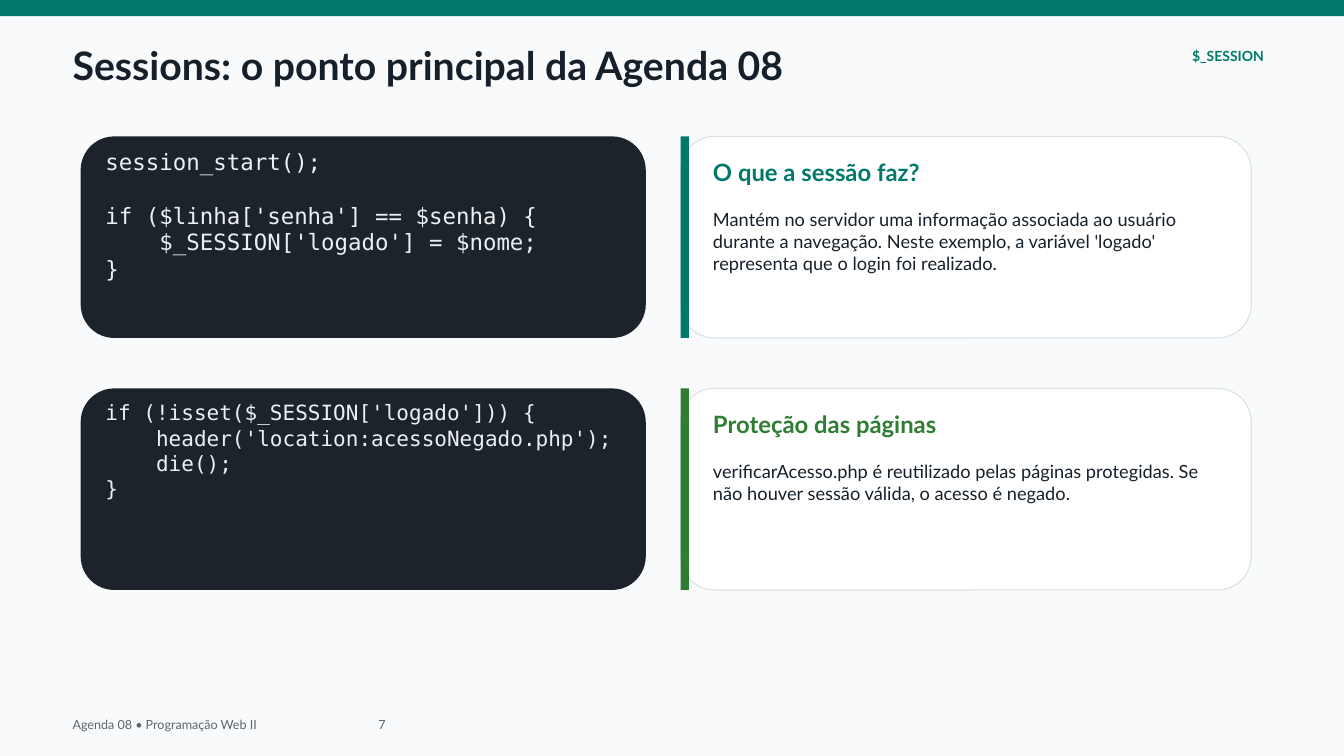
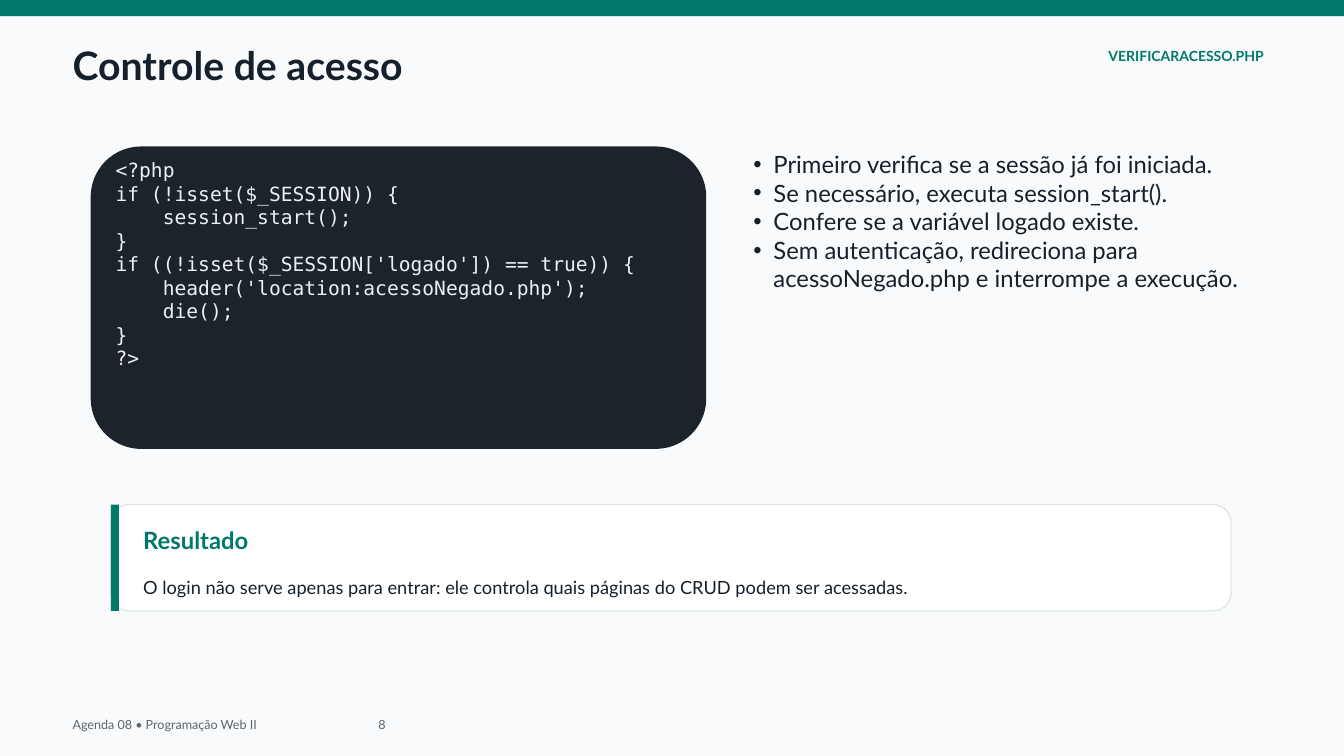
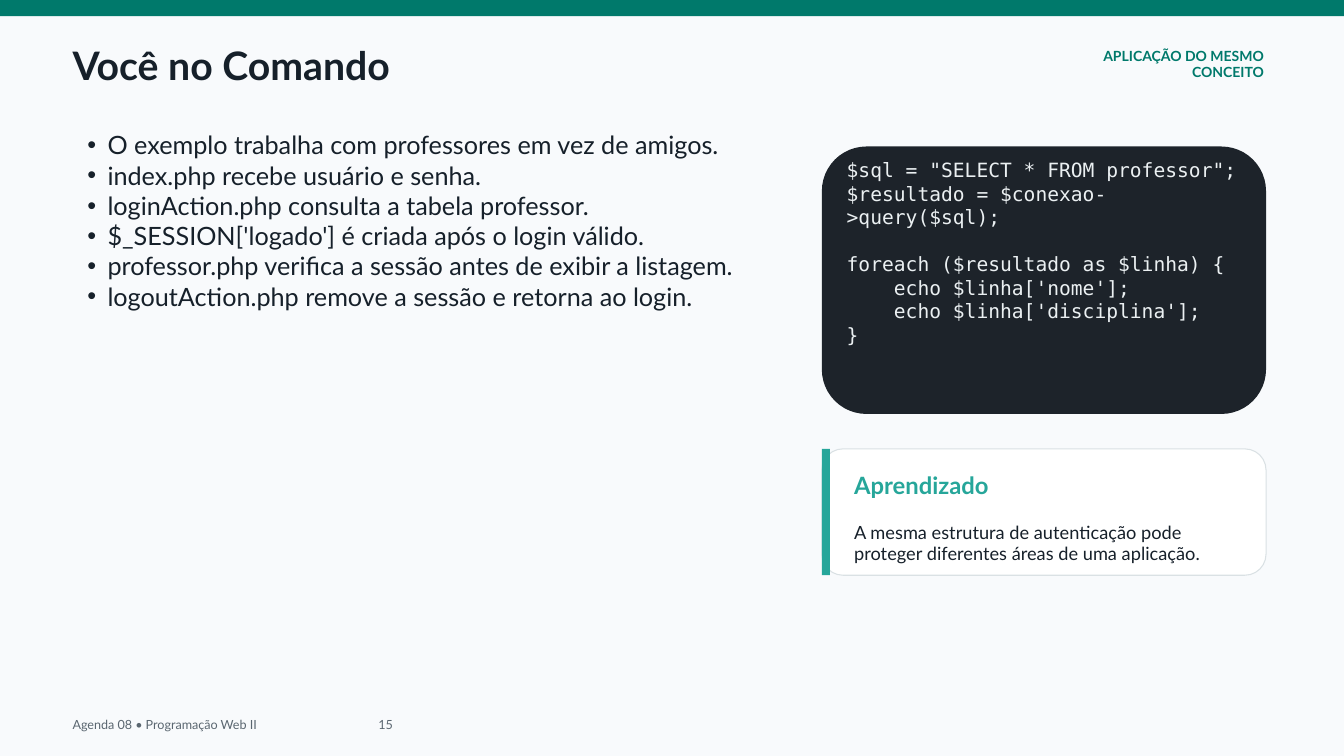
"""Build three lesson slides on PHP sessions and access control."""
import pptx
import pptx.dml.color
import pptx.enum.shapes
import pptx.enum.text
import pptx.oxml.ns
import pptx.util
from lxml import etree

RGBColor = pptx.dml.color.RGBColor
PAPER = RGBColor(0xF8, 0xFA, 0xFC)
WHITE = RGBColor(0xFF, 0xFF, 0xFF)
INK = RGBColor(0x16, 0x20, 0x2A)
TEAL = RGBColor(0x00, 0x79, 0x6B)
GREEN = RGBColor(0x2E, 0x7D, 0x32)
AQUA = RGBColor(0x26, 0xA6, 0x9A)
CODE_FILL = RGBColor(0x1D, 0x23, 0x2A)
CODE_INK = RGBColor(0xEB, 0xF0, 0xF2)
BORDER = RGBColor(0xDA, 0xE1, 0xE4)
GRAY = RGBColor(0x5A, 0x66, 0x70)

SANS, MONO = "Lato", "DejaVu Sans Mono"
COLUMNS, ROWS = 20, 11.25
LEADING = 1.2
HANG = pptx.util.Inches(0.3)
NUMBER_TAB = pptx.util.Inches(4.55)
TITLE_ONLY, TITLE_AND_BODY = 5, 1
LEFT = pptx.enum.text.PP_ALIGN.LEFT
RIGHT = pptx.enum.text.PP_ALIGN.RIGHT
RECTANGLE = pptx.enum.shapes.MSO_SHAPE.RECTANGLE
ROUNDED = pptx.enum.shapes.MSO_SHAPE.ROUNDED_RECTANGLE


def write(holder, text, size, color=INK, font=SANS, bold=False, align=LEFT,
          bullet=False, tab=None):
    """Fill a text holder, turning empty lines into space before the next."""
    frame = holder.text_frame
    frame.auto_size = pptx.enum.text.MSO_AUTO_SIZE.NONE
    frame.word_wrap = True
    frame.vertical_anchor = pptx.enum.text.MSO_ANCHOR.TOP
    frame.margin_left = frame.margin_right = 0
    frame.margin_top = frame.margin_bottom = 0
    leading = pptx.util.Pt(size * LEADING)
    paragraph, gap = frame.paragraphs[0], 0
    for index, line in enumerate(text.split("\n")):
        if not line:
            gap += leading
            continue
        if index:
            paragraph = frame.add_paragraph()
        paragraph.add_run().text = line
        properties = paragraph._p.get_or_add_pPr()
        if bullet:
            properties.set("marL", str(HANG))
            properties.set("indent", str(-HANG))
            mark = etree.SubElement(properties, pptx.oxml.ns.qn("a:buChar"))
            mark.set("char", "•")
        if tab:
            stops = etree.SubElement(properties, pptx.oxml.ns.qn("a:tabLst"))
            stop = etree.SubElement(stops, pptx.oxml.ns.qn("a:tab"))
            stop.set("pos", str(tab))
            stop.set("algn", "l")
        paragraph.alignment = align
        paragraph.line_spacing = leading
        paragraph.space_before, gap = pptx.util.Emu(gap), 0
        paragraph.font.size = pptx.util.Pt(size)
        for run in paragraph.runs:
            run.font.name = font
            run.font.size = pptx.util.Pt(size)
            run.font.bold = bold
            run.font.color.rgb = color


class Lesson:
    """Holds the deck style and the slide being built."""

    def __init__(self):
        self.deck = pptx.Presentation()
        self.deck.slide_width = pptx.util.Inches(COLUMNS)
        self.deck.slide_height = pptx.util.Inches(ROWS)
        self.slide = None

    def cells(self, left, top, width, height):
        """Turn grid columns and rows into lengths."""
        column = self.deck.slide_width / COLUMNS
        row = self.deck.slide_height / ROWS
        return [pptx.util.Emu(round(length)) for length in
                (left * column, top * row, width * column, height * row)]

    def start(self, title, tag, number, layout=TITLE_ONLY):
        """Open a slide with its band, title, tag and footer."""
        self.slide = self.deck.slides.add_slide(self.deck.slide_layouts[layout])
        self.slide.background.fill.solid()
        self.slide.background.fill.fore_color.rgb = PAPER
        self.block(RECTANGLE, (0, 0, COLUMNS, 0.24), TEAL)
        heading = self.slide.shapes.title
        self.move(heading, (1.08, 0.62, 17.51, 0.73))
        write(heading, title, size=42, bold=True)
        self.text((15.86, 0.7, 2.95, 0.43), tag, size=15, color=TEAL,
                  bold=True, align=RIGHT)
        self.text((1.08, 10.67, 17.81, 0.24),
                  f"Agenda 08 • Programação Web II\t{number}",
                  size=13.5, color=GRAY, tab=NUMBER_TAB)

    def move(self, shape, area):
        """Place a shape on the grid."""
        shape.left, shape.top, shape.width, shape.height = self.cells(*area)

    def text(self, area, text, **style):
        """Add a text box."""
        write(self.slide.shapes.add_textbox(*self.cells(*area)), text, **style)

    def block(self, kind, area, fill, border=None):
        """Add a flat filled shape."""
        block = self.slide.shapes.add_shape(kind, *self.cells(*area))
        block.shadow.inherit = False
        block.fill.solid()
        block.fill.fore_color.rgb = fill
        if border is None:
            block.line.fill.background()
        else:
            block.line.color.rgb = border
            block.line.width = pptx.util.Pt(1.13)

    def code(self, area, source, size):
        """Add a dark panel of code."""
        left, top, width, height = area
        self.block(ROUNDED, area, CODE_FILL)
        self.text((left + 0.37, top + 0.17, width - 0.74, height - 0.41),
                  source, size=size, color=CODE_INK, font=MONO)

    def card(self, area, heading, body, accent):
        """Add a white card with an accent bar, heading and body."""
        left, top, width, height = area
        self.block(ROUNDED, area, WHITE, BORDER)
        self.block(RECTANGLE, (left, top, 0.12, height), accent)
        inner, span = left + 0.48, width - 0.88
        self.text((inner, top + 0.32, span, 0.53), heading, size=25.5,
                  color=accent, bold=True)
        self.text((inner, top + 1.07, span, height - 1.33), body, size=19.5)

    def bullets(self, area, points, size):
        """Fill the body placeholder with a list."""
        body = self.slide.placeholders[1]
        self.move(body, area)
        write(body, "\n".join(points), size=size, bullet=True)


LOGIN_CODE = """session_start();

if ($linha['senha'] == $senha) {
    $_SESSION['logado'] = $nome;
}"""

GUARD_CODE = """if (!isset($_SESSION['logado'])) {
    header('location:acessoNegado.php');
    die();
}"""

ACCESS_CODE = """<?php
if (!isset($_SESSION)) {
    session_start();
}
if ((!isset($_SESSION['logado']) == true)) {
    header('location:acessoNegado.php');
    die();
}
?>"""

QUERY_CODE = """$sql = "SELECT * FROM professor";
$resultado = $conexao->query($sql);

foreach ($resultado as $linha) {
    echo $linha['nome'];
    echo $linha['disciplina'];
}"""

SESSION_ROWS = [
    (LOGIN_CODE, 24, "O que a sessão faz?",
     "Mantém no servidor uma informação associada ao usuário durante a "
     "navegação. Neste exemplo, a variável 'logado' representa que o login "
     "foi realizado.", TEAL),
    (GUARD_CODE, 22.5, "Proteção das páginas",
     "verificarAcesso.php é reutilizado pelas páginas protegidas. Se não "
     "houver sessão válida, o acesso é negado.", GREEN),
]


def main():
    """Build and save the slides."""
    lesson = Lesson()

    lesson.start("Sessions: o ponto principal da Agenda 08", "$_SESSION", 7)
    for row, (source, size, heading, body, accent) in enumerate(SESSION_ROWS):
        top = 2.03 + 3.75 * row
        lesson.code((1.2, top, 8.41, 3), source, size)
        lesson.card((10.13, top, 8.49, 3), heading, body, accent)

    lesson.start("Controle de acesso", "VERIFICARACESSO.PHP", 8, TITLE_AND_BODY)
    lesson.code((1.35, 2.18, 9.16, 4.5), ACCESS_CODE, 21)
    lesson.bullets((11.21, 2.23, 7.5, 5.15), [
        "Primeiro verifica se a sessão já foi iniciada.",
        "Se necessário, executa session_start().",
        "Confere se a variável logado existe.",
        "Sem autenticação, redireciona para acessoNegado.php e interrompe "
        "a execução.",
    ], 25.5)
    lesson.card((1.65, 7.51, 16.67, 1.58), "Resultado",
                "O login não serve apenas para entrar: ele controla quais "
                "páginas do CRUD podem ser acessadas.", TEAL)

    lesson.start("Você no Comando", "APLICAÇÃO DO MESMO CONCEITO", 15,
                 TITLE_AND_BODY)
    lesson.bullets((1.3, 1.93, 10.31, 7.11), [
        "O exemplo trabalha com professores em vez de amigos.",
        "index.php recebe usuário e senha.",
        "loginAction.php consulta a tabela professor.",
        "$_SESSION['logado'] é criada após o login válido.",
        "professor.php verifica a sessão antes de exibir a listagem.",
        "logoutAction.php remove a sessão e retorna ao login.",
    ], 27)
    lesson.code((12.23, 2.18, 6.61, 3.98), QUERY_CODE, 21)
    lesson.card((12.23, 6.68, 6.61, 1.88), "Aprendizado",
                "A mesma estrutura de autenticação pode proteger diferentes "
                "áreas de uma aplicação.", AQUA)

    lesson.deck.save("out.pptx")


if __name__ == "__main__":
    main()
